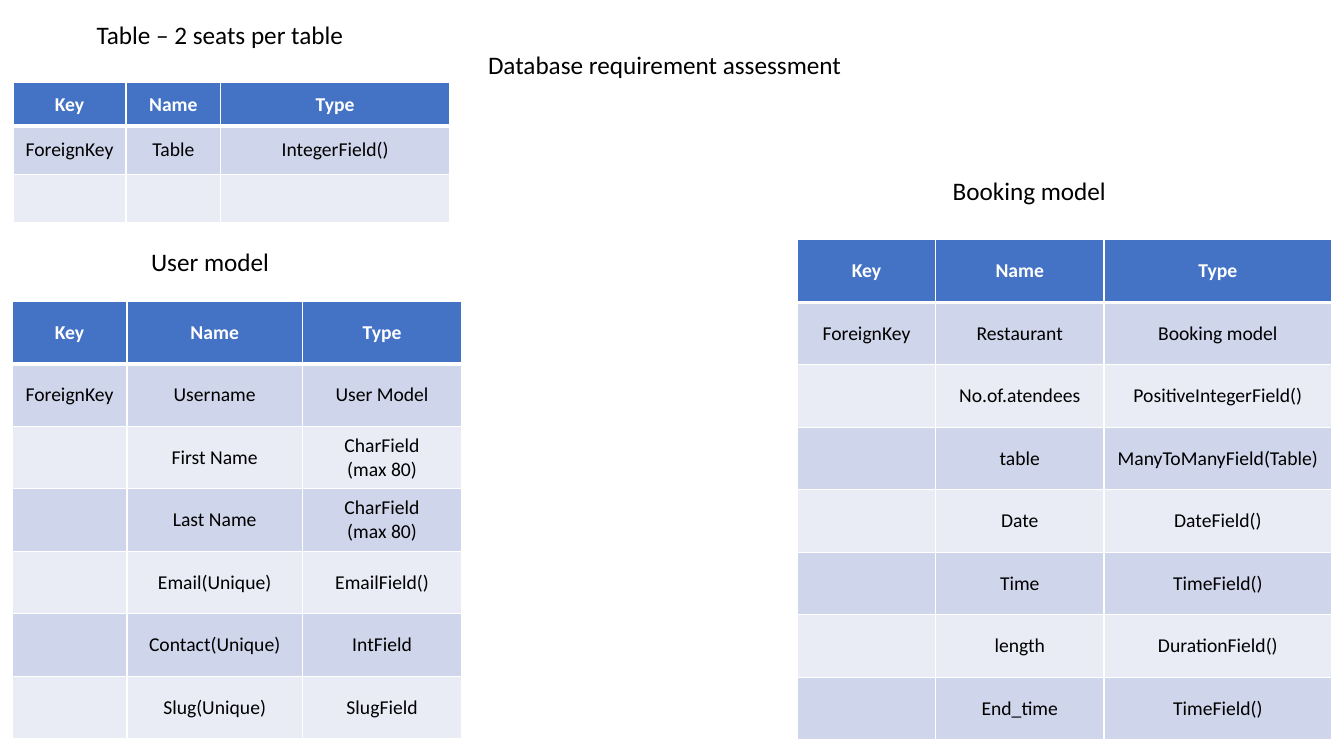
"""Build the database requirement slide with its three model tables."""
from lxml import etree
from pptx import Presentation
from pptx.dml.color import RGBColor
from pptx.enum import text as t
from pptx.oxml import ns
from pptx.util import Inches, Pt

FONT = "Calibri"
BLACK = RGBColor(0, 0, 0)
WHITE = RGBColor(255, 255, 255)
BLUE = RGBColor(0x44, 0x72, 0xC4)
BANDS = RGBColor(0xE9, 0xEB, 0xF5), RGBColor(0xCF, 0xD5, 0xEA)

HEAD = ("Key", "Name", "Type")
SEATS = [
    HEAD,
    ("ForeignKey", "Table", "IntegerField()"),
    ("", "", ""),
]
BOOKING = [
    HEAD,
    ("ForeignKey", "Restaurant", "Booking model"),
    ("", "No.of.atendees", "PositiveIntegerField()"),
    ("", "table", "ManyToManyField(Table)"),
    ("", "Date", "DateField()"),
    ("", "Time", "TimeField()"),
    ("", "length", "DurationField()"),
    ("", "End_time", "TimeField()"),
]
USER = [
    HEAD,
    ("ForeignKey", "Username", "User Model"),
    ("", "First Name", "CharField\n(max 80)"),
    ("", "Last Name", "CharField\n(max 80)"),
    ("", "Email(Unique)", "EmailField()"),
    ("", "Contact(Unique)", "IntField"),
    ("", "Slug(Unique)", "SlugField"),
]


def style(font, size, color, bold=False):
    """Set the face, size, colour and weight of a font."""
    font.name, font.size, font.bold = FONT, Pt(size), bold
    font.color.rgb = color


def write(shape, words, left, top, width):
    """Place a heading in a text box or title placeholder."""
    shape.left, shape.top = Inches(left), Inches(top)
    shape.width, shape.height = Inches(width), Inches(0.4)
    frame = shape.text_frame
    frame.text = words
    frame.word_wrap = True
    frame.auto_size = t.MSO_AUTO_SIZE.SHAPE_TO_FIT_TEXT
    frame.vertical_anchor = t.MSO_ANCHOR.TOP
    line = frame.paragraphs[0]
    line.alignment = t.PP_ALIGN.LEFT
    style(line.runs[0].font, 18, BLACK)


def label(slide, words, left, top, width):
    """Add a heading above a table."""
    box = slide.shapes.add_textbox(0, 0, 0, 0)
    write(box, words, left, top, width)


def border(cell, side, width):
    """Draw a white line along one side of a cell."""
    props = cell._tc.get_or_add_tcPr()
    line = etree.SubElement(props, ns.qn("a:ln" + side), w=str(Pt(width)))
    fill = etree.SubElement(line, ns.qn("a:solidFill"))
    etree.SubElement(fill, ns.qn("a:srgbClr"), val=str(WHITE))


def fill_cell(cell, words, row):
    """Write and format one cell according to its row."""
    for side in "LRTB":
        heavy = (row, side) in ((0, "B"), (1, "T"))
        border(cell, side, 3 if heavy else 1)
    cell.fill.solid()
    cell.fill.fore_color.rgb = BANDS[row % 2] if row else BLUE
    cell.vertical_anchor = t.MSO_ANCHOR.MIDDLE
    cell.text = words
    for line in cell.text_frame.paragraphs:
        line.alignment = t.PP_ALIGN.CENTER
        for run in line.runs:
            style(run.font, 14, BLACK if row else WHITE, row == 0)


def add_grid(slide, data, left, top, widths, head, height):
    """Add a table with a header row and banded rows."""
    total = head + height * (len(data) - 1)
    frame = slide.shapes.add_table(
        len(data), len(widths), Inches(left), Inches(top),
        Inches(sum(widths)), Inches(total))
    table = frame.table
    for col, width in zip(table.columns, widths):
        col.width = Inches(width)
    for i, row in enumerate(data):
        table.rows[i].height = Inches(height if i else head)
        for j, words in enumerate(row):
            fill_cell(table.cell(i, j), words, i)


def main():
    """Build and save the slide."""
    deck = Presentation()
    deck.slide_width, deck.slide_height = Inches(13.33), Inches(7.5)
    slide = deck.slides.add_slide(deck.slide_layouts[5])
    write(slide.shapes.title, "Database requirement assessment",
          4.74, 0.44, 3.85)
    label(slide, "Table – 2 seats per table", 0.86, 0.14, 2.82)
    add_grid(slide, SEATS, 0.13, 0.82, (1.12, 0.94, 2.27), 0.43, 0.48)
    label(slide, "Booking model", 9.35, 1.69, 1.8)
    add_grid(slide, BOOKING, 7.91, 2.38, (1.37, 1.67, 2.26), 0.62, 0.62)
    add_grid(slide, USER, 0.12, 2.99, (1.14, 1.74, 1.58), 0.62, 0.62)
    label(slide, "User model", 1.4, 2.39, 1.8)
    deck.save("out.pptx")


if __name__ == "__main__":
    main()
